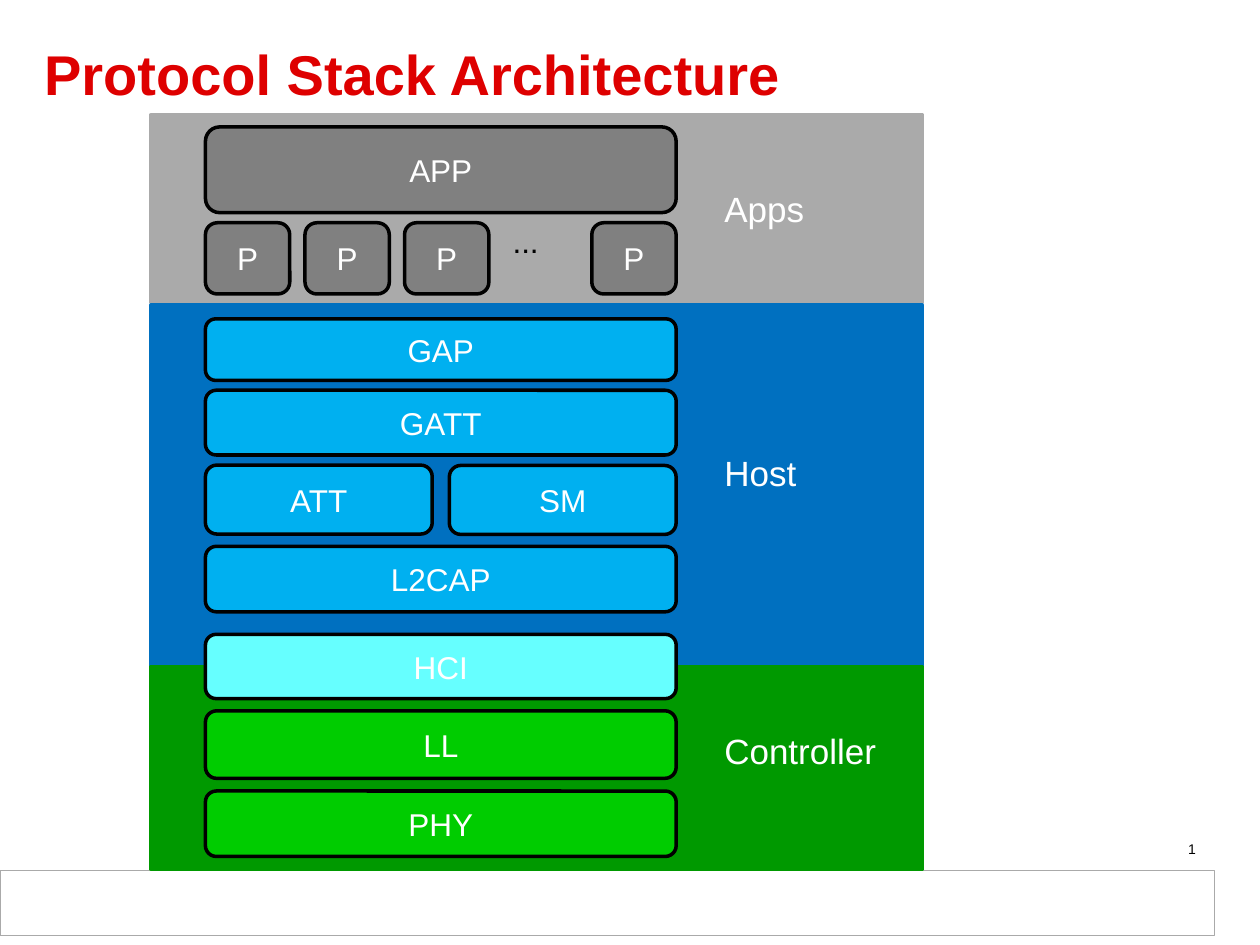
from lxml import etree
from pptx import Presentation
from pptx.dml.color import RGBColor
from pptx.enum import shapes, text
from pptx.oxml import ns
from pptx.util import Pt

COLORS = {
    "title": "DE0000", "white": "FFFFFF", "black": "000000", "frame": "AAAAAA",
    "apps": "AAAAAA", "host": "0070C0", "controller": "009900",
    "app_block": "808080", "host_block": "00B0F0",
    "hci_block": "66FFFF", "controller_block": "00CC00",
}


def style_text(box, label, size, color, align=text.PP_ALIGN.LEFT):
    frame = box.text_frame
    frame.text = label
    frame.word_wrap = True
    para = frame.paragraphs[0]
    para.alignment = align
    font = para.runs[0].font
    font.name, font.size = "Arial", Pt(size)
    font.color.rgb = RGBColor.from_string(COLORS[color])
    return para


def add_block(kind, left, top, width, height, fill, line, line_width=2):
    block = page.shapes.add_shape(kind, Pt(left), Pt(top), Pt(width), Pt(height))
    block.shadow.inherit = False
    block.fill.solid()
    block.fill.fore_color.rgb = RGBColor.from_string(COLORS[fill])
    block.line.color.rgb = RGBColor.from_string(COLORS[line])
    block.line.width = Pt(line_width)
    return block


deck = Presentation()
deck.slide_width, deck.slide_height = Pt(720), Pt(540)
page = deck.slides.add_slide(deck.slide_layouts[5])
RECT = shapes.MSO_SHAPE.RECTANGLE
ROUNDED = shapes.MSO_SHAPE.ROUNDED_RECTANGLE

# Footer frame
add_block(RECT, 0, 497.5, 694, 37, "white", "frame", 0.75)

# Title
title = page.shapes.title
title.left, title.top, title.width, title.height = Pt(18), Pt(11.5), Pt(666), Pt(66.6)
para = style_text(title, "Protocol Stack Architecture", 32, "title")
para.line_spacing = 0.85
para.runs[0].font.bold = True
title.text_frame.vertical_anchor = text.MSO_ANCHOR.MIDDLE

# Slide number, as a field
number = page.shapes.add_textbox(Pt(522.7), Pt(476.6), Pt(167.8), Pt(16.6))
para = style_text(number, "1", 8, "black", text.PP_ALIGN.RIGHT)
run = para.runs[0]._r
field = etree.Element(ns.qn("a:fld"), id="{B6F15528-21DE-4FAA-801E-634DDDAF4B2B}", type="slidenum")
run.addprevious(field)
field.extend(list(run))
run.getparent().remove(run)

# Layer bands
for fill, top, height in [("apps", 65.5, 107.3), ("host", 174.2, 206.7),
                          ("controller", 380.9, 115.9)]:
    add_block(RECT, 86.4, top, 440.6, height, fill, fill)

# Protocol blocks: label, left, top, width, height, fill
LEFT, FULL, HALF, SMALL, STEP = 117.4, 269, 129.6, 48.2, 56.9
RIGHT = LEFT + FULL
blocks = [
    ("APP", LEFT, 72.5, FULL, 49, "app_block"),
    ("GAP", LEFT, 182.2, FULL, 35.2, "host_block"),
    ("GATT", LEFT, 223, FULL, 37, "host_block"),
    ("ATT", LEFT, 265.8, HALF, 39.4, "host_block"),
    ("SM", RIGHT - HALF, 266, HALF, 39.4, "host_block"),
    ("L2CAP", LEFT, 312.2, FULL, 37.4, "host_block"),
    ("HCI", LEFT, 362.5, FULL, 36.7, "hci_block"),
    ("LL", LEFT, 406.2, FULL, 38.6, "controller_block"),
    ("PHY", LEFT, 452, FULL, 37.4, "controller_block"),
]
profile_lefts = [LEFT, LEFT + STEP, LEFT + 2 * STEP, RIGHT - SMALL]
blocks += [("P", left, 127.3, SMALL, 40.7, "app_block") for left in profile_lefts]
for label, left, top, width, height, fill in blocks:
    block = add_block(ROUNDED, left, top, width, height, fill, "black")
    style_text(block, label, 18, "white", text.PP_ALIGN.CENTER)
    block.text_frame.vertical_anchor = text.MSO_ANCHOR.MIDDLE

# Layer names and the ellipsis between profiles
for label, left, top, width, height, size, color in [
    ("...", 285.8, 123.1, 56.2, 36.7, 18, "black"),
    ("Apps", 406.8, 103.7, 70.6, 31.7, 20, "white"),
    ("Host", 406.8, 254.2, 70.6, 31.7, 20, "white"),
    ("Controller", 406.8, 413.3, 108, 31.7, 20, "white"),
]:
    box = page.shapes.add_textbox(Pt(left), Pt(top), Pt(width), Pt(height))
    style_text(box, label, size, color)

deck.save("out.pptx")
